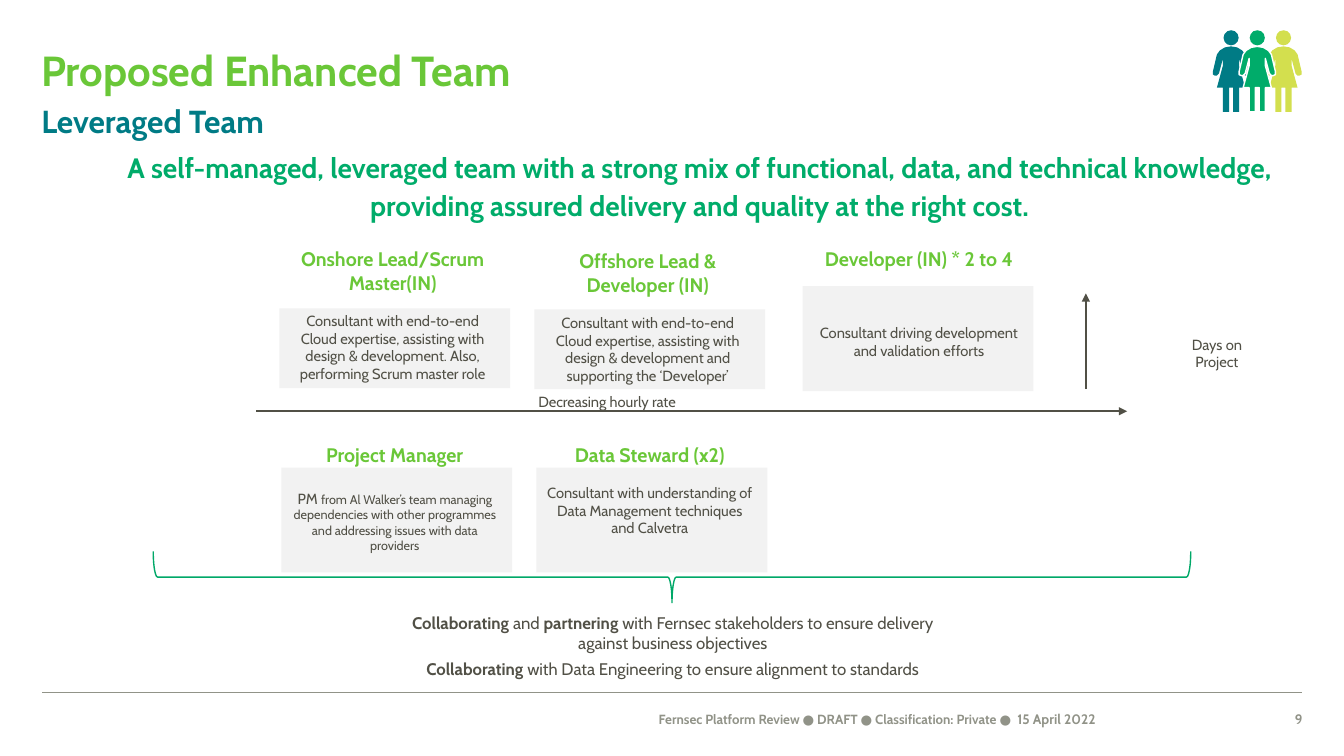
from pptx import Presentation
from pptx.dml.color import RGBColor
from pptx.enum.shapes import MSO_CONNECTOR, MSO_SHAPE
from pptx.enum.text import MSO_ANCHOR, PP_ALIGN
from pptx.oxml.ns import qn
from pptx.util import Inches, Pt
from lxml import etree

STRAIGHT = MSO_CONNECTOR.STRAIGHT
RECTANGLE, OVAL, BRACE = MSO_SHAPE.RECTANGLE, MSO_SHAPE.OVAL, MSO_SHAPE.RIGHT_BRACE
LEFT, CENTER, RIGHT = PP_ALIGN.LEFT, PP_ALIGN.CENTER, PP_ALIGN.RIGHT
TOP, BOTTOM = MSO_ANCHOR.TOP, MSO_ANCHOR.BOTTOM

LIME = RGBColor(0x6A, 0xC7, 0x38)
TEAL = RGBColor(0x00, 0x7B, 0x85)
GREEN = RGBColor(0x00, 0xAC, 0x6A)
BRACE_GREEN = RGBColor(0x00, 0xA8, 0x68)
YELLOW = RGBColor(0xD3, 0xDF, 0x4E)
DARK = RGBColor(0x51, 0x50, 0x46)
GREY = RGBColor(0x91, 0x93, 0x88)
PALE = RGBColor(0xF2, 0xF2, 0xF2)
WHITE = RGBColor(0xFF, 0xFF, 0xFF)
FONT = "Cabin"

prs = Presentation()
prs.slide_width, prs.slide_height = Inches(13.33), Inches(7.5)
slide = prs.slides.add_slide(prs.slide_layouts[6])
shapes = slide.shapes


def add_text(box, paragraphs, align=CENTER, spacing=None, inset=True, anchor=TOP):
    """Each paragraph is (space before, runs); a run is (text, size, colour, bold)."""
    frame = shapes.add_textbox(*map(Inches, box)).text_frame
    frame.word_wrap = True
    frame.vertical_anchor = anchor
    if not inset:
        frame.margin_left = frame.margin_right = 0
        frame.margin_top = frame.margin_bottom = 0
    for i, (gap, runs) in enumerate(paragraphs):
        paragraph = frame.add_paragraph() if i else frame.paragraphs[0]
        paragraph.alignment = align
        paragraph.space_before = Pt(gap)
        if spacing:
            paragraph.line_spacing = spacing
        for text, size, color, bold in runs:
            run = paragraph.add_run()
            run.text = text
            run.font.name, run.font.size, run.font.bold = FONT, Pt(size), bold
            run.font.color.rgb = color


def add_line(start, end, color, width, arrow=False):
    line = shapes.add_connector(STRAIGHT, *map(Inches, start + end))
    line.line.color.rgb, line.line.width = color, Pt(width)
    if arrow:
        outline = line.line._get_or_add_ln()
        etree.SubElement(outline, qn("a:tailEnd"), type="triangle")
    etree.SubElement(line._element.spPr, qn("a:effectLst"))


# Headings
add_text((0.41, 0.47, 12.5, 0.47), [(0, [("Proposed Enhanced Team", 30, LIME, True)])],
         LEFT, Pt(32.7), False, BOTTOM)
add_text((0.41, 1.02, 12.5, 0.42), [(0, [("Leveraged Team", 22.7, TEAL, True)])],
         LEFT, Pt(26.7), False)
add_text((0.69, 1.44, 12.5, 1.03), [(0, [(
    "A self-managed, leveraged team with a strong mix of functional, data, and technical "
    "knowledge, providing assured delivery and quality at the right cost.",
    20, GREEN, True)])], CENTER, 1.15, False)

# Team icon: one mirrored figure, the middle one in front with a white edge
half_figure = [(0, 0.46), (0.06, 0.47), (0.11, 0.5), (0.14, 0.54), (0.18, 0.71),
               (0.18, 0.74), (0.16, 0.75), (0.14, 0.75), (0.12, 0.73), (0.08, 0.58),
               (0.08, 0.65), (0.14, 0.87), (0.08, 0.87), (0.08, 1.11), (0.02, 1.11),
               (0.02, 0.87)]
figure = half_figure + [(-x, y) for x, y in reversed(half_figure[1:])]
icon_center, icon_step, head_size = 12.47, 0.26, 0.15
for place, color in ((-1, TEAL), (1, YELLOW), (0, GREEN)):
    middle = icon_center + place * icon_step
    outline = [(Inches(middle + x), Inches(y)) for x, y in figure]
    builder = shapes.build_freeform(*outline[0])
    builder.add_line_segments(outline[1:], close=True)
    body = builder.convert_to_shape()
    head = shapes.add_shape(OVAL, Inches(middle - head_size / 2), Inches(0.3),
                            Inches(head_size), Inches(head_size))
    for part in (body, head):
        part.shadow.inherit = False
        part.fill.solid()
        part.fill.fore_color.rgb = color
        part.line.fill.background()
    if place == 0:
        body.line.color.rgb, body.line.width = WHITE, Pt(1)

# Role cards: card left, top, height; text left, top; role; gap; description
card_width = 2.29
roles = [
    (2.77, 3.06, 0.79, 2.75, 2.40, "Onshore Lead/Scrum Master(IN)", 12.8,
     [("Consultant with end-to-end Cloud expertise, assisting with design & development. "
       "Also, performing Scrum master role", 10.5)]),
    (5.30, 3.07, 0.79, 5.28, 2.42, "Offshore Lead & Developer (IN)", 12.8,
     [("Consultant with end-to-end Cloud expertise, assisting with design & development "
       "and supporting the ‘Developer’", 10.5)]),
    (7.96, 2.84, 1.04, 7.97, 2.40, "Developer (IN) * 2 to 4", 38.3,
     [("Consultant driving development and validation efforts", 10.5)]),
    (2.79, 4.64, 1.04, 2.77, 4.34, "Project Manager", 17,
     [("PM ", 10.5),
      ("from Al Walker’s team managing dependencies with other programmes and "
       "addressing issues with data providers", 9)]),
    (5.32, 4.64, 1.04, 5.30, 4.34, "Data Steward (x2)", 12.8,
     [("Consultant with understanding of Data Management techniques and Calvetra", 10.5)]),
]
for left, top, height, text_left, text_top, role, gap, description in roles:
    card = shapes.add_shape(RECTANGLE, *map(Inches, (left, top, card_width, height)))
    card.shadow.inherit = False
    card.fill.solid()
    card.fill.fore_color.rgb = PALE
    card.line.fill.background()
    add_text((text_left, text_top, card_width, top + height - text_top),
             [(0, [(role, 14, LIME, True)]),
              (gap, [(text, size, DARK, False) for text, size in description])])

# Axes
add_line((2.54, 4.08), (11.18, 4.08), DARK, 1.5, arrow=True)
add_line((10.77, 3.86), (10.77, 2.91), DARK, 1.5, arrow=True)
add_text((5.24, 3.85, 1.69, 0.28),
         [(0, [("Decreasing hourly rate", 10.5, DARK, False)])], LEFT)
add_text((11.71, 3.28, 0.72, 0.45), [(0, [("Days on Project", 10.5, DARK, False)])])

# Brace and the shared commitments below it
brace = shapes.add_shape(BRACE, *map(Inches, (6.41, 0.58, 0.51, 10.29)))
brace.rotation = 90
brace.shadow.inherit = False
brace.fill.background()
brace.line.color.rgb, brace.line.width = BRACE_GREEN, Pt(1)

commitments = [
    (6.03, 0.5, [("Collaborating", True), (" and ", False), ("partnering", True),
                 (" with Fernsec stakeholders to ensure delivery against business "
                  "objectives", False)]),
    (6.49, 0.3, [("Collaborating", True),
                 (" with Data Engineering to ensure alignment to standards", False)]),
]
for top, height, words in commitments:
    add_text((3.96, top, 5.43, height),
             [(0, [(text, 12, DARK, bold) for text, bold in words])])

# Footer
add_line((0.42, 6.87), (12.91, 6.87), GREY, 0.25)
footer = [
    (3.1, 6.93, "Fernsec Platform Review ● DRAFT ● Classification: Private ●", 9.5, RIGHT),
    (10.09, 1.57, "15 April 2022", 9.8, LEFT),
    (12.5, 0.42, "9", 9.8, RIGHT),
]
for left, width, text, size, align in footer:
    add_text((left, 7.05, width, 0.16), [(0, [(text, size, GREY, True)])],
             align, Pt(11.7), False)

prs.save("out.pptx")
